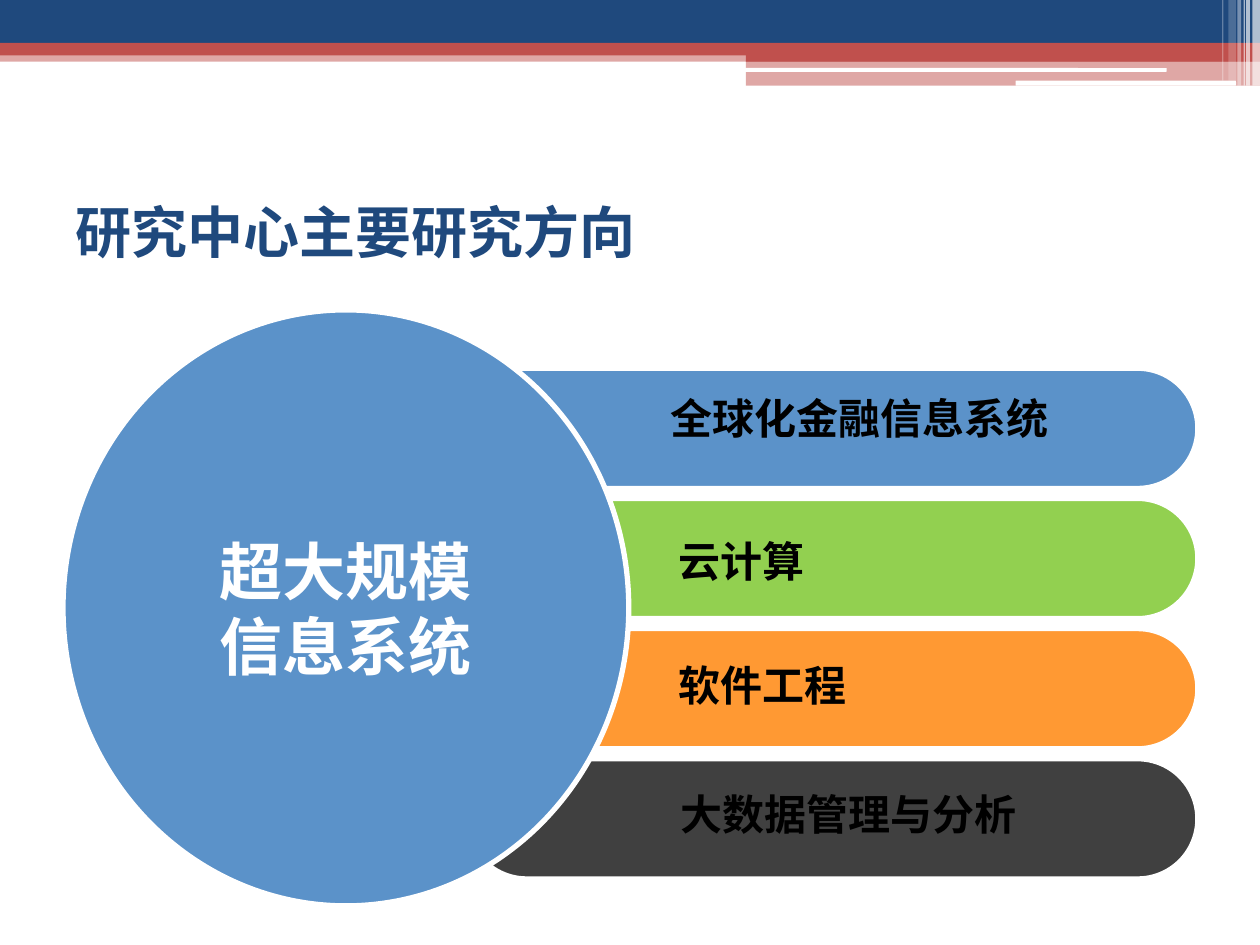
from lxml import etree
from pptx import Presentation
from pptx.dml.color import RGBColor
from pptx.enum.shapes import MSO_SHAPE
from pptx.enum.text import MSO_ANCHOR, PP_ALIGN
from pptx.oxml.ns import qn
from pptx.util import Inches, Pt

RECT = MSO_SHAPE.RECTANGLE
ROUND = MSO_SHAPE.ROUNDED_RECTANGLE
OVAL = MSO_SHAPE.OVAL
TOP, MIDDLE = MSO_ANCHOR.TOP, MSO_ANCHOR.MIDDLE
LEFT, CENTER = PP_ALIGN.LEFT, PP_ALIGN.CENTER

COLS, ROWS = 100, 75
SLIDE_W, SLIDE_H = Inches(10), Inches(7.5)
CJK = "Noto Sans CJK SC"
COLORS = {
    "navy": "1F497D",
    "red": "C0504D",
    "white": "FFFFFF",
    "black": "000000",
    "blue": "5B92C9",
    "green": "92D050",
    "orange": "FF9933",
    "gray": "404040",
}


def rgb(name):
    return RGBColor.from_string(COLORS[name])


def place(box):
    x, y, w, h = box
    return (int(SLIDE_W * x / COLS), int(SLIDE_H * y / ROWS),
            int(SLIDE_W * w / COLS), int(SLIDE_H * h / ROWS))


def add_shape(s, kind, box, fill, alpha=100, line=0, adj=None):
    sp = s.shapes.add_shape(kind, *place(box))
    sp.shadow.inherit = False
    sp.fill.solid()
    sp.fill.fore_color.rgb = rgb(fill)
    if alpha < 100:
        clr = sp.fill._xPr.find(qn("a:solidFill"))[0]
        etree.SubElement(clr, qn("a:alpha")).set("val", str(alpha * 1000))
    if line:
        sp.line.color.rgb = rgb("white")
        sp.line.width = Pt(line)
    else:
        sp.line.fill.background()
    if adj is not None:
        sp.adjustments[0] = adj
    return sp


def write(sp, text, size=24, color="black", font=CJK, align=LEFT, anchor=TOP, wrap=True):
    tf = sp.text_frame
    tf.word_wrap = wrap
    tf.vertical_anchor = anchor
    for i, line in enumerate(text.split("\n")):
        p = tf.paragraphs[0] if i == 0 else tf.add_paragraph()
        p.alignment = align
        r = p.add_run()
        r.text = line
        r.font.size = Pt(size)
        r.font.bold = True
        r.font.name = font
        r.font.color.rgb = rgb(color)
        etree.SubElement(r._r.get_or_add_rPr(), qn("a:ea")).set("typeface", CJK)


def add_header(s, box):
    x, y, w, h = box
    bands = [
        (RECT, 0, 4, 100, 0.9, "red", 50),
        (RECT, 0, 0, 100, 3.4, "navy", 100),
        (RECT, 0, 3.4, 100, 1, "red", 100),
        (RECT, 59.2, 3.9, 40.8, 1, "red", 100),
        (RECT, 59.2, 4.8, 40.8, 2, "red", 50),
        (ROUND, 59.1, 5.4, 33.5, 0.3, "white", 100),
        (ROUND, 80.6, 6.4, 17.5, 0.4, "white", 100),
    ]
    for kind, left, top, width, height, fill, alpha in bands:
        add_shape(s, kind, (x + left, y + top, width, height), fill, alpha)
    stripes = [
        (99.4, 0.6, h, 65), (98.9, 0.3, h, 65), (98.7, 0.1, h, 60),
        (98.2, 0.3, h, 40), (97.5, 0.6, h - 0.4, 20), (97, 0.1, h - 0.4, 30),
    ]
    for left, width, height, alpha in stripes:
        add_shape(s, RECT, (x + left, y, width, height), "white", alpha)


def add_title(s, box, text):
    write(s.shapes.add_textbox(*place(box)), text, size=32, color="navy", anchor=MIDDLE)


def add_directions(s, box, center, directions):
    x, y, w, h = box
    bar_x, bar_y = x + 32.1, y + 4.7
    bar_w, bar_h, pitch = w - 32.1, 9.4, 10.33
    for i, (_, fill, _, _) in enumerate(directions):
        add_shape(s, ROUND, (bar_x, bar_y + i * pitch, bar_w, bar_h), fill, line=2, adj=0.5)
    circle = add_shape(s, OVAL, (x, y, 44.9, h), "blue", line=3)
    write(circle, center, size=36, color="white", align=CENTER, anchor=MIDDLE)
    for i, (text, _, dx, dy) in enumerate(directions):
        label = (bar_x + dx, bar_y + i * pitch + dy, 34, 5)
        write(s.shapes.add_textbox(*place(label)), text, font="Arial", wrap=False)


def main():
    prs = Presentation()
    prs.slide_width, prs.slide_height = SLIDE_W, SLIDE_H
    s = prs.slides.add_slide(prs.slide_layouts[6])
    add_header(s, (0, 0, COLS, 6.8))
    add_title(s, (5, 12.5, 90, 11.7), "研究中心主要研究方向")
    add_directions(s, (5, 24.6, 90, 47.3), "超大规模\n信息系统", [
        ("全球化金融信息系统", "blue", 15.1, 1.4),
        ("云计算", "green", 15.8, 2.4),
        ("软件工程", "orange", 15.8, 1.9),
        ("大数据管理与分析", "gray", 15.9, 1.8),
    ])
    prs.save("out.pptx")


if __name__ == "__main__":
    main()
